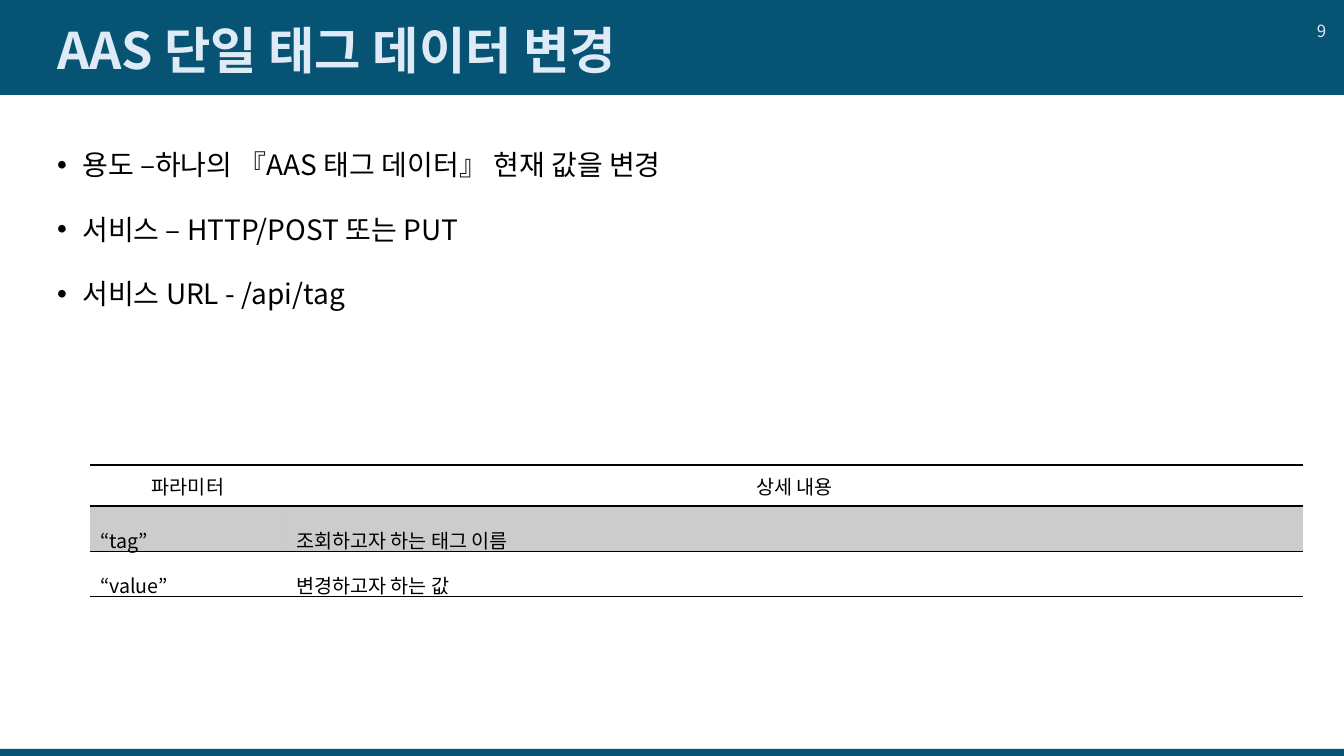
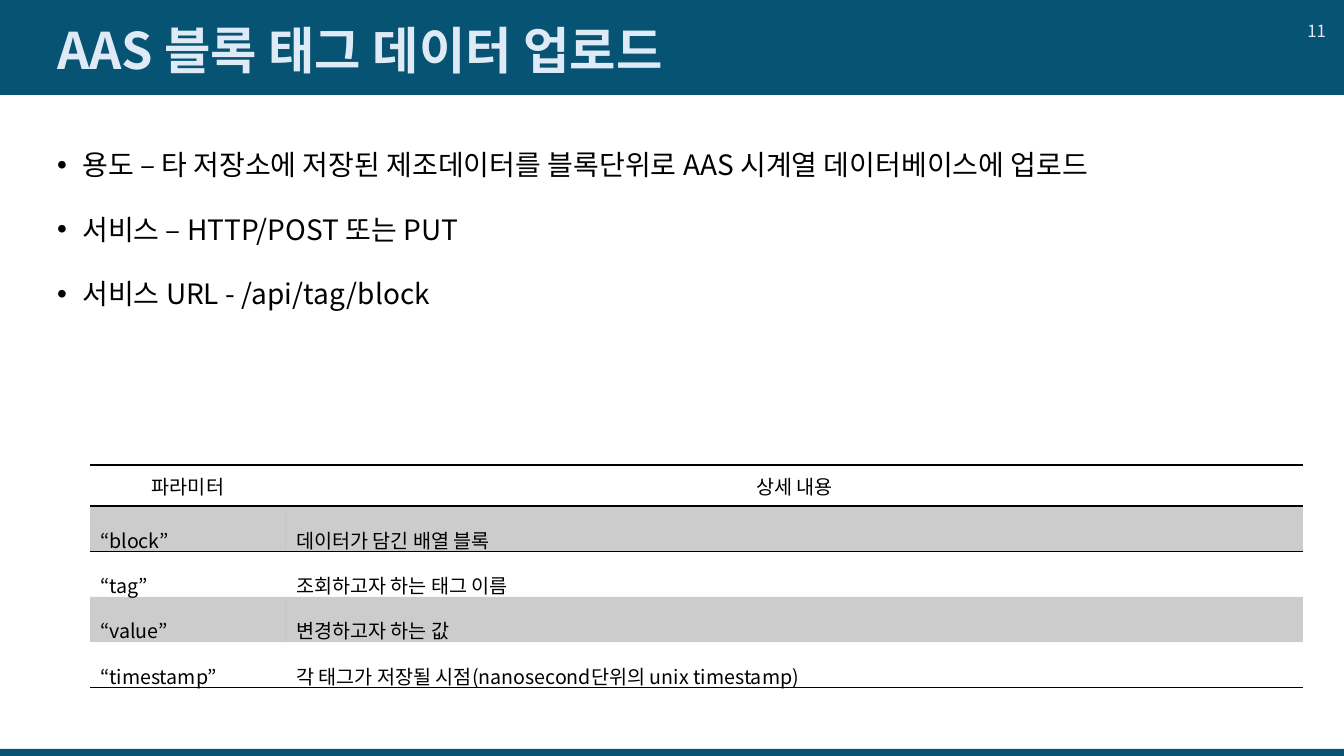
from lxml.etree import SubElement
from pptx import Presentation
from pptx.dml.color import RGBColor
from pptx.enum.shapes import MSO_SHAPE
from pptx.enum.text import MSO_ANCHOR, MSO_AUTO_SIZE, PP_ALIGN
from pptx.oxml import parse_xml
from pptx.oxml.ns import nsdecls, qn
from pptx.util import Pt

PX = 914400 / 100.8
WIDE, HIGH = 1344, 756
FONT = "Noto Sans CJK KR"
TEAL = RGBColor(0x07, 0x53, 0x73)
PALE = RGBColor(0xDE, 0xEB, 0xF7)
BLACK = RGBColor(0, 0, 0)
PLAIN = "{2D5ABB26-0587-4C30-8999-92F81FD0307C}"
HEAD = ("파라미터", "상세 내용")
TAG = ("“tag”", "조회하고자 하는 태그 이름")
VALUE = ("“value”", "변경하고자 하는 값")

PAGES = [
    (
        "9",
        "AAS 단일 태그 데이터 변경",
        "용도 –하나의 『AAS 태그 데이터』 현재 값을 변경",
        "/api/tag",
        [HEAD, TAG, VALUE],
    ),
    (
        "11",
        "AAS 블록 태그 데이터 업로드",
        "용도 – 타 저장소에 저장된 제조데이터를 블록단위로 AAS 시계열 데이터베이스에 업로드",
        "/api/tag/block",
        [
            HEAD,
            ("“block”", "데이터가 담긴 배열 블록"),
            TAG,
            VALUE,
            ("“timestamp”", "각 태그가 저장될 시점(nanosecond단위의 unix timestamp)"),
        ],
    ),
]


def box(*sizes):
    return [round(size * PX) for size in sizes]


def style(par, size, color, align=PP_ALIGN.LEFT, bold=False, space=1.0):
    par.alignment = align
    par.line_spacing = space
    font = par.font
    font.size, font.bold, font.name = Pt(size), bold, FONT
    font.color.rgb = color
    SubElement(par._p.find(".//" + qn("a:defRPr")), qn("a:ea"), typeface=FONT)


prs = Presentation()
prs.slide_width, prs.slide_height = box(WIDE, HIGH)
layout = prs.slide_layouts[1]
places = [box(47, 11, 1026, 84), box(47, 126, 1270, 307)]
for holder, place in zip(layout.placeholders, places):
    holder.left, holder.top, holder.width, holder.height = place
slides = [prs.slides.add_slide(layout) for page in PAGES]

first = prs.slide_master.shapes[0].element
for top, tall in [(0, 95), (749, 7)]:
    band = slides[0].shapes.add_shape(MSO_SHAPE.RECTANGLE, *box(0, top, WIDE, tall))
    band.shadow.inherit = False
    band.fill.solid()
    band.fill.fore_color.rgb = TEAL
    band.line.fill.background()
    first.addprevious(band.element)

for slide, (number, name, use, url, rows) in zip(slides, PAGES):
    title, body = slide.placeholders
    title.text_frame.text = name
    title.text_frame.vertical_anchor = MSO_ANCHOR.MIDDLE
    title.text_frame.auto_size = MSO_AUTO_SIZE.NONE
    style(title.text_frame.paragraphs[0], 36, PALE, bold=True, space=0.9)

    frame = body.text_frame
    frame.text = "\n".join([use, "서비스 – HTTP/POST 또는 PUT", "서비스 URL - " + url])
    frame.auto_size = MSO_AUTO_SIZE.NONE
    for par in frame.paragraphs:
        style(par, 20, BLACK, space=1.5)
        par.space_before = Pt(10)
        props = par._p.get_or_add_pPr()
        props.set("marL", str(Pt(18)))
        props.set("indent", str(Pt(-18)))

    frame = slide.shapes.add_textbox(*box(1290, 11, 46, 40)).text_frame
    frame.text = number
    frame.word_wrap = True
    frame.vertical_anchor = MSO_ANCHOR.MIDDLE
    style(frame.paragraphs[0], 12, PALE, PP_ALIGN.RIGHT)

    last = len(rows) - 1
    grid = slide.shapes.add_table(len(rows), 2, *box(90, 465, 1213, 41 * len(rows)))
    grid.element.find(".//" + qn("a:tableStyleId")).text = PLAIN
    table = grid.table
    table.first_row = table.horz_banding = False
    for col, width in zip(table.columns, box(196, 1017)):
        col.width = width
    for row, texts in enumerate(rows):
        sides = ["lnT"] * (row < 2) + ["lnB"] * (row in (0, last))
        for col, text in enumerate(texts):
            cell = table.cell(row, col)
            cell.text = text
            par = cell.text_frame.paragraphs[0]
            if row == 0:
                cell.vertical_anchor = MSO_ANCHOR.MIDDLE
                style(par, 14, BLACK, PP_ALIGN.CENTER)
            else:
                style(par, 14, BLACK, space=1.5)
            props = cell._tc.get_or_add_tcPr()
            if row % 2:
                cell.fill.solid()
                cell.fill.fore_color.rgb = BLACK
                SubElement(props.find(".//" + qn("a:srgbClr")), qn("a:alpha"), val="20000")
            else:
                cell.fill.background()
            for spot, side in enumerate(sides):
                props.insert(spot, parse_xml(
                    f'<a:{side} {nsdecls("a")} w="{Pt(1)}"><a:solidFill>'
                    f'<a:srgbClr val="{BLACK}"/></a:solidFill></a:{side}>'
                ))

prs.save("out.pptx")
